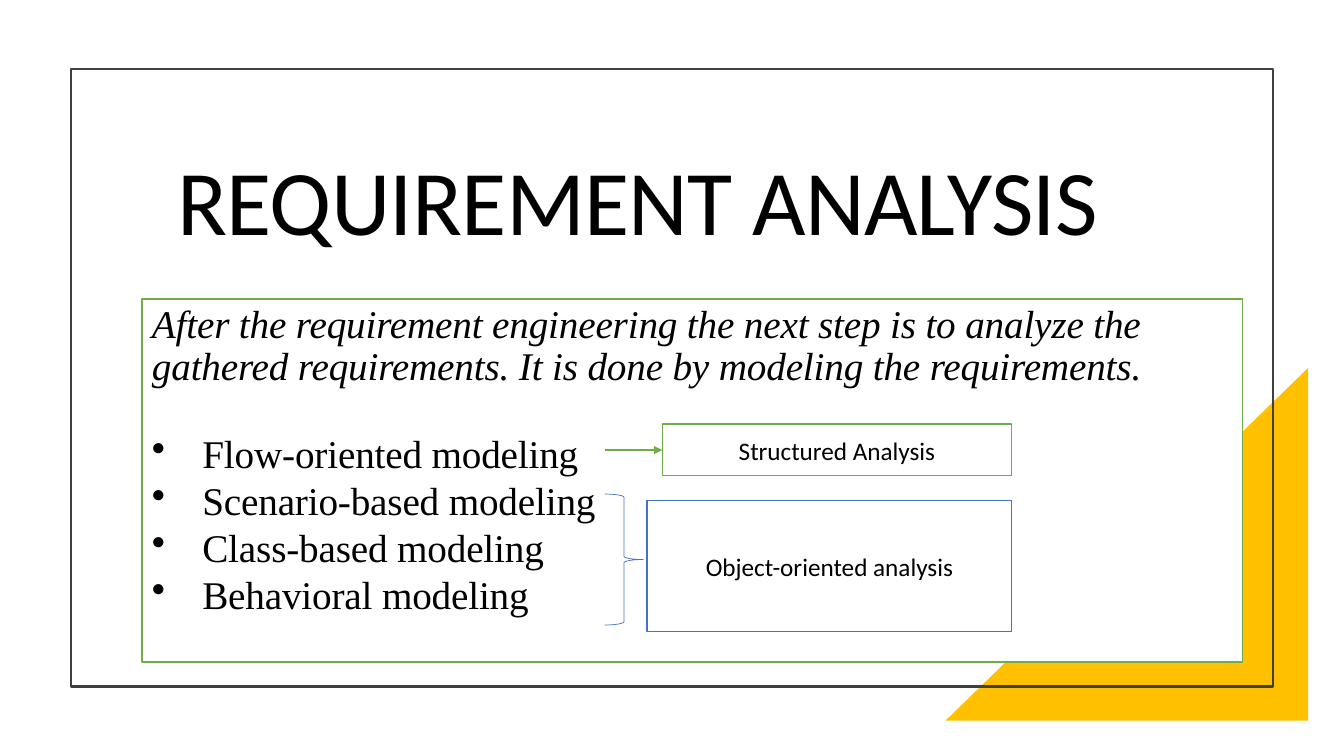
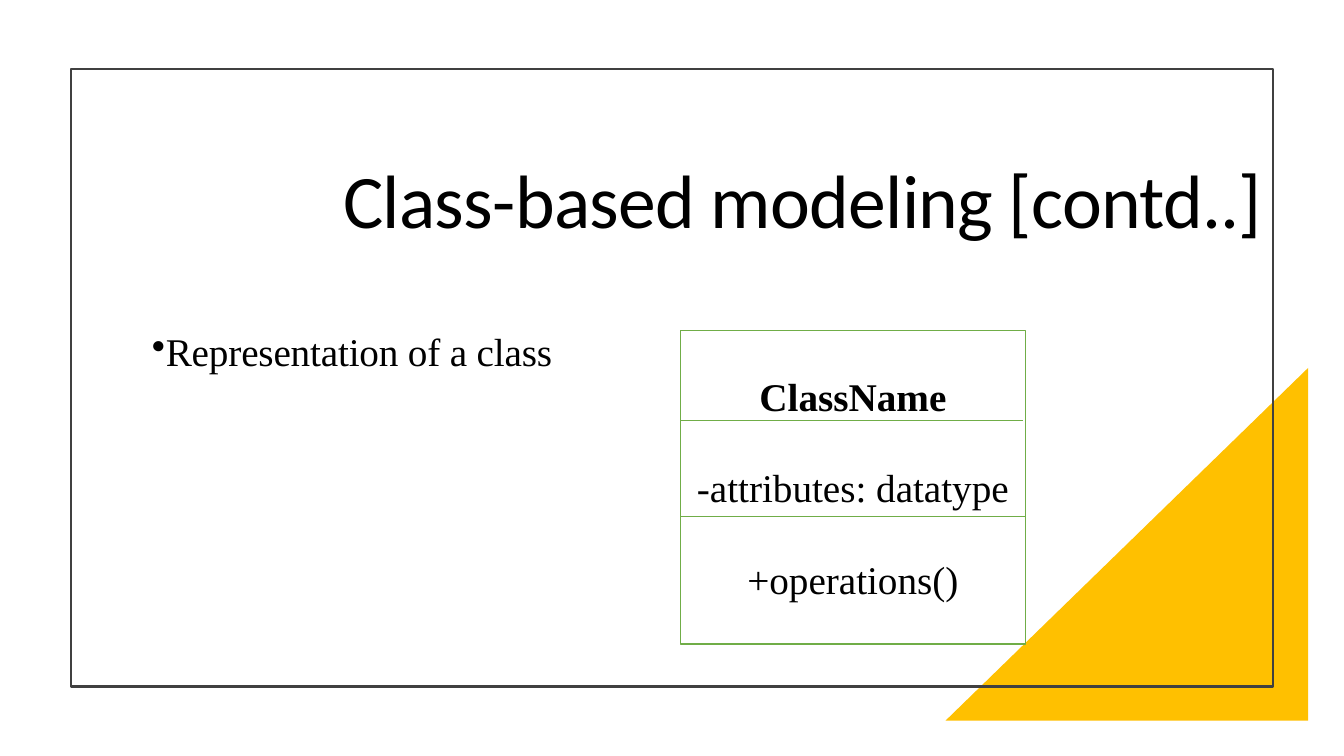
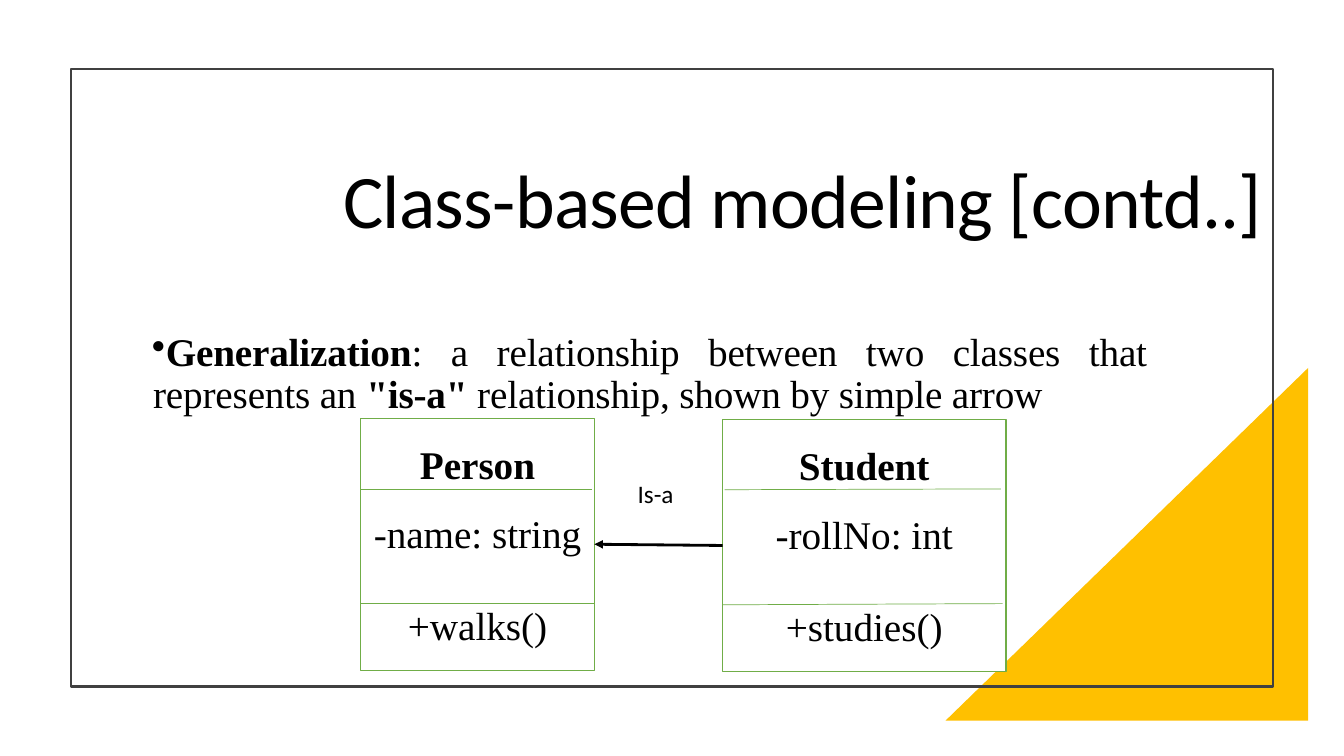
import dataclasses

import lxml.etree
import pptx
import pptx.dml.color
import pptx.enum.shapes
import pptx.enum.text
import pptx.oxml.ns
import pptx.util

Cm = pptx.util.Cm
Pt = pptx.util.Pt
RGB = pptx.dml.color.RGBColor
SHAPE = pptx.enum.shapes.MSO_SHAPE
ALIGN = pptx.enum.text.PP_ALIGN
ANCHOR = pptx.enum.text.MSO_ANCHOR
AUTO_SIZE = pptx.enum.text.MSO_AUTO_SIZE
qn = pptx.oxml.ns.qn


@dataclasses.dataclass(frozen=True)
class Theme:
    ink: RGB = RGB.from_string("000000")
    paper: RGB = RGB.from_string("FFFFFF")
    frame: RGB = RGB.from_string("404040")
    corner: RGB = RGB.from_string("FFC000")
    green: RGB = RGB.from_string("70AD47")
    blue: RGB = RGB.from_string("4472C4")
    sans: str = "Calibri"
    serif: str = "Times New Roman"
    large_title: int = 66
    title: int = 54
    body: int = 28
    label: int = 18


theme = Theme()


def write_para(text_frame, text, font=theme.serif, size=theme.body, bold=False, italic=False,
               align=ALIGN.LEFT, line_spacing=1.0, space_before=0, tracking=0,
               margin=0, indent=0, bullet=None):
    para = text_frame.paragraphs[0]
    if para.runs:
        para = text_frame.add_paragraph()
    para.alignment = align
    para.line_spacing = line_spacing
    para.space_before = Pt(space_before)
    properties = para._p.get_or_add_pPr()
    properties.set("marL", str(Cm(margin)))
    properties.set("indent", str(Cm(indent)))
    if bullet:
        lxml.etree.SubElement(properties, qn("a:buChar")).set("char", bullet)
    spans = [(text, bold)] if isinstance(text, str) else text
    for words, is_bold in spans:
        span = para.add_run()
        span.text = words
        span.font.name = font
        span.font.size = Pt(size)
        span.font.bold = is_bold
        span.font.italic = italic
        span.font.color.rgb = theme.ink
        span._r.get_or_add_rPr().set("spc", str(tracking))


def add_box(page, kind, bounds, fill=None, line=None, width=1, anchor=ANCHOR.MIDDLE):
    box = page.shapes.add_shape(kind, *map(Cm, bounds))
    box.shadow.inherit = False
    if fill is None:
        box.fill.background()
    else:
        box.fill.solid()
        box.fill.fore_color.rgb = fill
    if line is None:
        box.line.fill.background()
    else:
        box.line.color.rgb = line
        box.line.width = Pt(width)
    box.text_frame.word_wrap = True
    box.text_frame.vertical_anchor = anchor
    return box


deck = pptx.Presentation()
deck.slide_width = Cm(33.87)
deck.slide_height = Cm(19.05)

large_title = ((3.58, 2.92, 27.74, 4.5), theme.large_title, ALIGN.LEFT)
class_title = ((2.67, 2.9, 29.39, 4.5), theme.title, ALIGN.RIGHT)
pages = []
for heading, (bounds, size, align) in [
    ("REQUIREMENT ANALYSIS", large_title),
    ("Class-based modeling [contd..]", class_title),
    ("Class-based modeling [contd..]", class_title),
]:
    page = deck.slides.add_slide(deck.slide_layouts[5])
    corner = add_box(page, SHAPE.RIGHT_TRIANGLE, (23.83, 9.27, 9.14, 8.89), fill=theme.corner)
    corner.element.spPr.get_or_add_xfrm().set("flipH", "1")
    add_box(page, SHAPE.RECTANGLE, (1.78, 1.73, 30.3, 15.57), line=theme.frame, width=1.5)
    title = page.shapes.title
    title.left, title.top, title.width, title.height = map(Cm, bounds)
    title.text_frame.word_wrap = True
    title.text_frame.auto_size = AUTO_SIZE.NONE
    title.text_frame.vertical_anchor = ANCHOR.MIDDLE
    write_para(title.text_frame, heading, font=theme.sans, size=size, align=align,
               line_spacing=0.9, tracking=-50, margin=0.64)
    title.element.getparent().append(title.element)
    pages.append(page)
analysis_page, class_page, generalization_page = pages

overview = add_box(analysis_page, SHAPE.RECTANGLE, (3.58, 7.54, 27.74, 9.14),
                   fill=theme.paper, line=theme.green, anchor=ANCHOR.TOP)
write_para(overview.text_frame,
           "After the requirement engineering the next step is to analyze the gathered "
           "requirements. It is done by modeling the requirements.",
           italic=True, line_spacing=0.9, tracking=-10)
for index, model in enumerate(["Flow-oriented", "Scenario-based", "Class-based", "Behavioral"]):
    write_para(overview.text_frame, f"{model} modeling", tracking=-10, margin=1.27,
               indent=-1.27, bullet="•", space_before=0 if index else 29)

add_box(analysis_page, SHAPE.RIGHT_BRACE, (15.24, 12.45, 0.97, 3.3), line=theme.blue, width=0.5)
analysis_boxes = {}
for name, bounds, colour in [
    ("Object-oriented analysis", (16.31, 12.62, 9.19, 3.3), theme.blue),
    ("Structured Analysis", (16.69, 10.69, 8.81, 1.3), theme.green),
]:
    box = add_box(analysis_page, SHAPE.RECTANGLE, bounds, fill=theme.paper, line=colour)
    write_para(box.text_frame, name, font=theme.sans, size=theme.label, align=ALIGN.CENTER)
    analysis_boxes[name] = box

for page, text in [
    (class_page, "Representation of a class"),
    (generalization_page, [
        ("Generalization", True),
        (": a relationship between two classes that represents an ", False),
        ('"is-a" ', True),
        ("relationship, shown by simple arrow", False),
    ]),
]:
    body = page.shapes.add_textbox(Cm(3.58), Cm(8.26), Cm(25.58), Cm(7.77))
    body.text_frame.word_wrap = True
    write_para(body.text_frame, text, align=ALIGN.JUSTIFY, line_spacing=0.9, tracking=-10,
               margin=0.03, indent=-0.64, bullet="•")

lines = []
class_boxes = {}
for page, bounds, members, gap, dividers in [
    (class_page, (17.15, 8.33, 8.69, 7.9),
     ("ClassName", "-attributes: datatype", "+operations()"), 32,
     [(17.15, 10.59, 25.78, 10.59), (17.15, 13, 25.83, 13)]),
    (generalization_page, (9.09, 10.54, 5.89, 6.35),
     ("Person", "-name: string ", "+walks()"), 16,
     [(9.09, 12.32, 14.91, 12.32), (9.09, 15.21, 14.96, 15.21)]),
    (generalization_page, (18.21, 10.57, 7.14, 6.35),
     ("Student", "-rollNo: int", "+studies()"), 16,
     [(18.26, 12.34, 25.22, 12.32), (18.21, 15.24, 25.27, 15.21)]),
]:
    box = add_box(page, SHAPE.RECTANGLE, bounds, fill=theme.paper, line=theme.green)
    name, attribute, operation = members
    write_para(box.text_frame, name, bold=True, align=ALIGN.CENTER)
    write_para(box.text_frame, attribute, align=ALIGN.CENTER, space_before=gap)
    write_para(box.text_frame, operation, align=ALIGN.CENTER, space_before=32)
    class_boxes[name] = box
    for divider in dividers:
        lines.append((page, divider, theme.green, 0.5, None, None, None))

lines.append((analysis_page, (15.24, 11.34, 16.69, 11.34), theme.green, 1.5,
              None, (analysis_boxes["Structured Analysis"], 1), "a:tailEnd"))
lines.append((generalization_page, (14.98, 13.72, 18.21, 13.74), theme.ink, 2,
              (class_boxes["Person"], 3), (class_boxes["Student"], 1), "a:headEnd"))

for page, points, colour, width, begin, end, arrowhead in lines:
    connector = page.shapes.add_connector(pptx.enum.shapes.MSO_CONNECTOR.STRAIGHT,
                                          *map(Cm, points))
    connector.line.color.rgb = colour
    connector.line.width = Pt(width)
    if begin:
        connector.begin_connect(*begin)
    if end:
        connector.end_connect(*end)
    if arrowhead:
        outline = connector.line._get_or_add_ln()
        lxml.etree.SubElement(outline, qn(arrowhead)).set("type", "triangle")
    lxml.etree.SubElement(connector.element.spPr, qn("a:effectLst"))

relation = generalization_page.shapes.add_textbox(Cm(15.82), Cm(11.94), Cm(2.44), Cm(1.02))
relation.text_frame.word_wrap = True
relation.text_frame.auto_size = AUTO_SIZE.SHAPE_TO_FIT_TEXT
write_para(relation.text_frame, "Is-a", font=theme.sans, size=theme.label)

deck.save("out.pptx")
